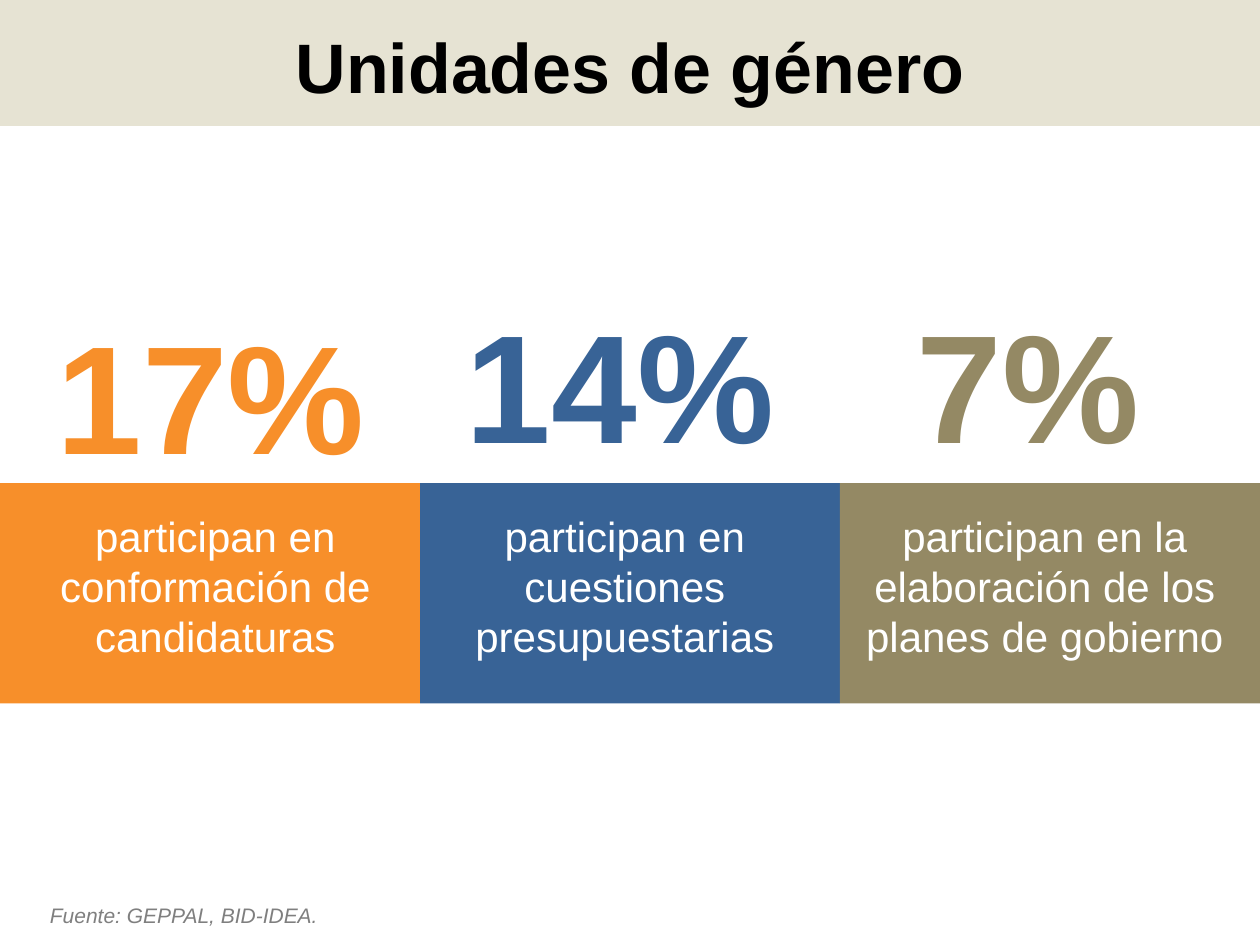
"""Slide on what share of gender units take part in three party tasks."""
from lxml import etree
from pptx import Presentation
from pptx import util as u
from pptx.dml.color import RGBColor
from pptx.enum import shapes, text
from pptx.oxml.ns import qn

COLORS = {
    "orange": "F78F2A", "blue": "386396", "olive": "948964", "sand": "D6D1B7",
    "white": "FFFFFF", "black": "000000", "gray": "7F7F7F",
}
WIDTH, HEIGHT = 720, 540
CENTER, LEFT = text.PP_ALIGN.CENTER, text.PP_ALIGN.LEFT


class SlideStyle:
    """Holds the font and the slide, and draws each kind of element."""

    def __init__(self, slide, font="Arial"):
        self.slide = slide
        self.font = font

    def add_words(self, frame, words, size, color, align=CENTER, bold=False,
                  italic=False, before=0):
        paragraph = frame.paragraphs[0]
        paragraph.alignment = align
        paragraph.space_before = u.Pt(before)
        run = paragraph.add_run()
        run.text = words
        run.font.name = self.font
        run.font.size = u.Pt(size)
        run.font.bold = bold
        run.font.italic = italic
        run.font.color.rgb = RGBColor.from_string(COLORS[color])

    def title(self, words, left, top, width, height):
        heading = self.slide.shapes.title
        heading.left, heading.top = u.Pt(left), u.Pt(top)
        heading.width, heading.height = u.Pt(width), u.Pt(height)
        frame = heading.text_frame
        frame.auto_size = text.MSO_AUTO_SIZE.NONE
        frame.vertical_anchor = text.MSO_ANCHOR.MIDDLE
        self.add_words(frame, words, 40, "black", bold=True)

    def block(self, left, top, width, height, color):
        block = self.slide.shapes.add_shape(
            shapes.MSO_SHAPE.RECTANGLE, *map(u.Pt, (left, top, width, height)))
        block.shadow.inherit = False
        block.fill.solid()
        block.fill.fore_color.rgb = RGBColor.from_string(COLORS[color])
        block.line.fill.background()
        return block

    def band(self, height, color, opacity):
        band = self.block(0, 0, WIDTH, height, color)
        tint = band.element.spPr.find(".//" + qn("a:srgbClr"))
        etree.SubElement(tint, qn("a:alpha")).set("val", str(opacity * 1000))
        self.slide.shapes.title.element.addprevious(band.element)

    def label(self, words, left, top, width, height, size, color, wrap=True,
              **looks):
        label = self.slide.shapes.add_textbox(
            *map(u.Pt, (left, top, width, height)))
        label.text_frame.word_wrap = wrap
        self.add_words(label.text_frame, words, size, color, **looks)


def main():
    deck = Presentation()
    deck.slide_width, deck.slide_height = u.Pt(WIDTH), u.Pt(HEIGHT)
    page = SlideStyle(deck.slides.add_slide(deck.slide_layouts[5]))

    page.band(72, "sand", 60)
    page.title("Unidades de género", 36, 9.5, 648, 56)

    findings = [
        ("17% ", "participan en conformación de candidaturas", "orange",
         6, (13, 168, 214.5)),
        ("14% ", "participan en cuestiones presupuestarias", "blue",
         0, (247, 162, 214.5)),
        ("7% ", "participan en la elaboración de los planes de gobierno",
         "olive", 0, (504.5, 162, 165.5)),
    ]
    column = WIDTH / len(findings)
    for index, (share, task, color, inset, place) in enumerate(findings):
        left = index * column
        share_left, share_top, share_width = place
        page.block(left, 276, column, 126, color)
        page.label(task, left + inset, 288, 234, 108, 24, "white", before=6)
        page.label(share, share_left, share_top, share_width, 113, 88, color,
                   wrap=False, bold=True)

    page.label("Fuente: GEPPAL, BID-IDEA.", 21.5, 512, 168.5, 21.5, 12, "gray",
               wrap=False, align=LEFT, italic=True)
    deck.save("out.pptx")


if __name__ == "__main__":
    main()
